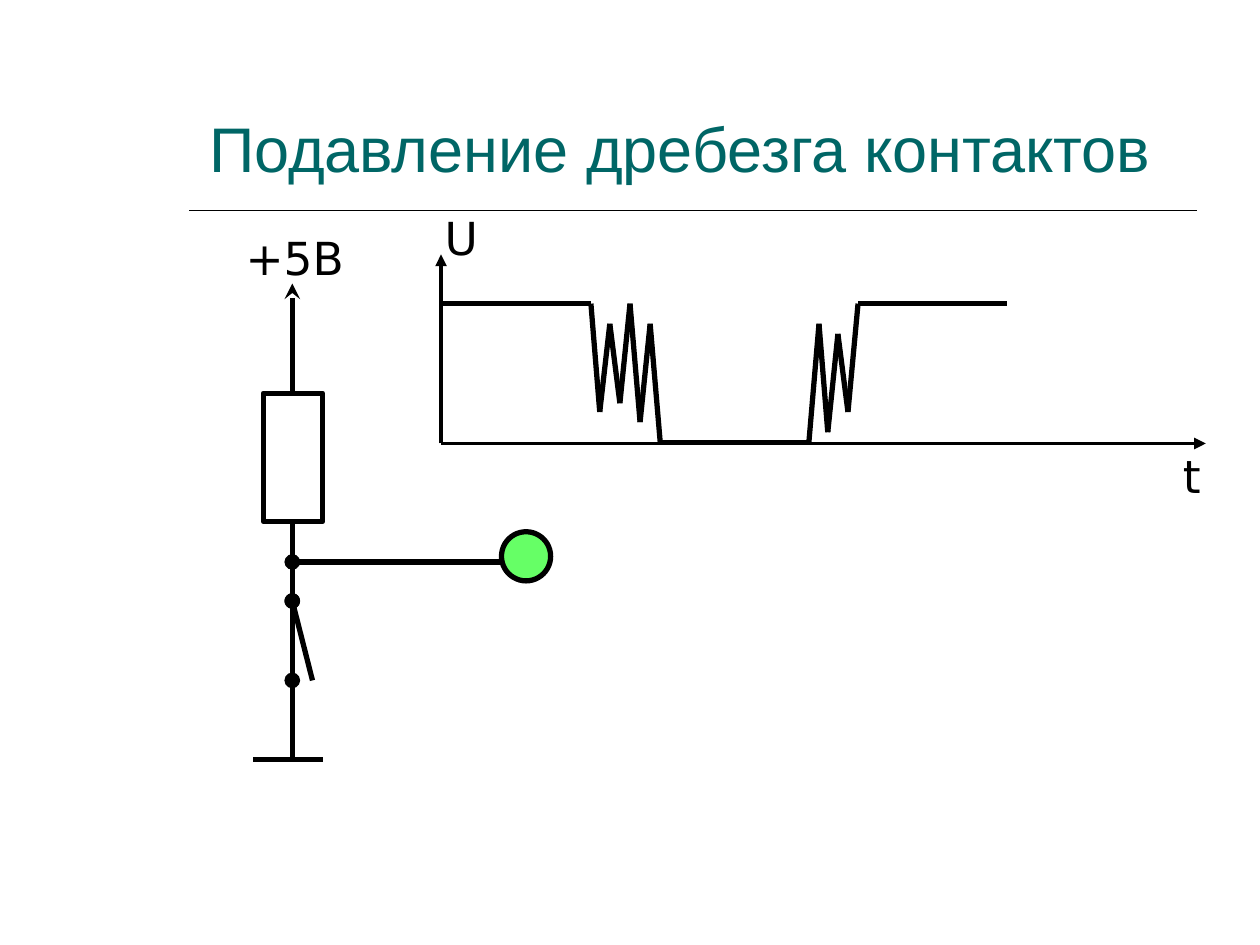
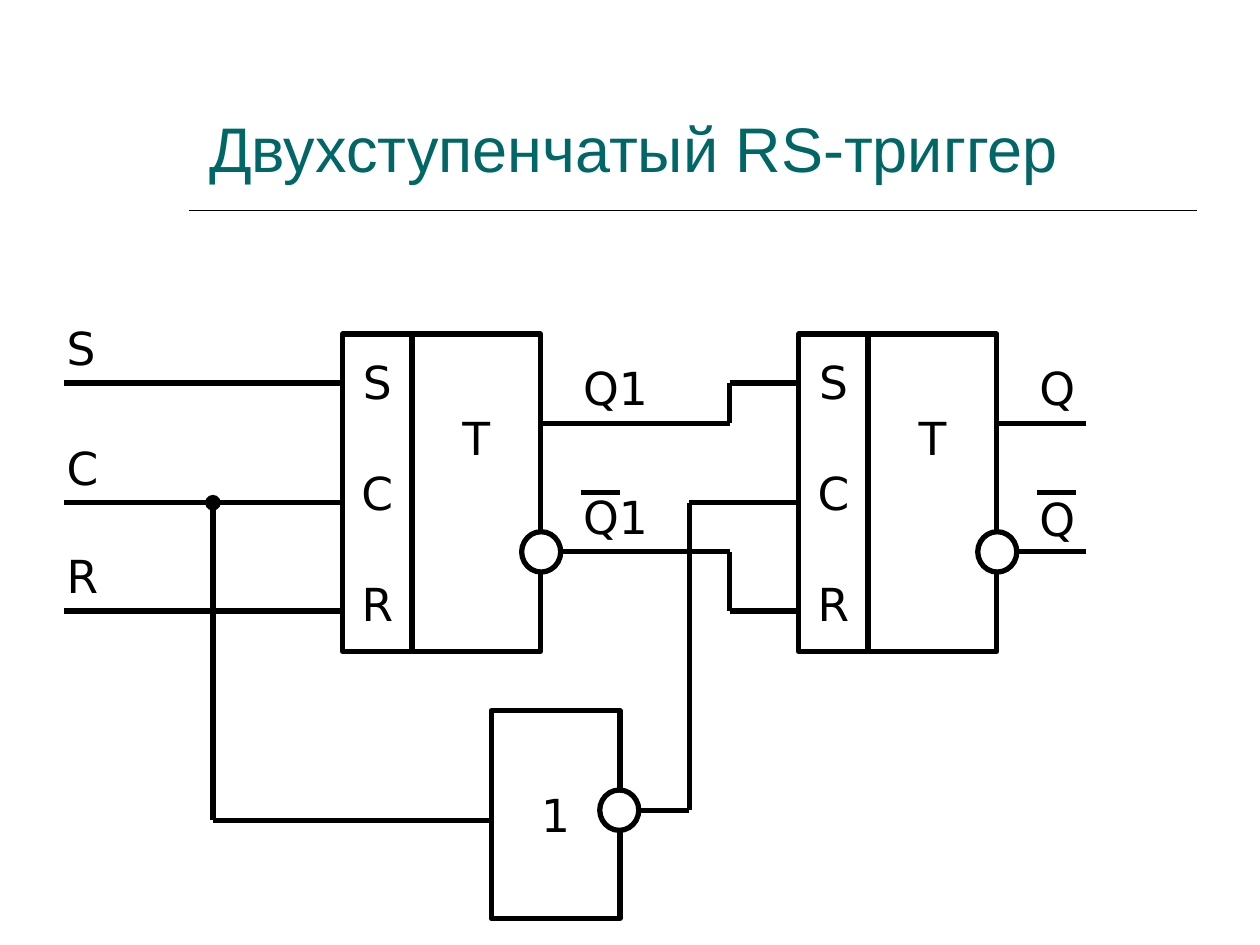
from lxml.etree import SubElement
from pptx import Presentation
from pptx.dml.color import RGBColor
from pptx.enum.shapes import MSO_CONNECTOR, MSO_SHAPE
from pptx.enum.text import MSO_ANCHOR, MSO_AUTO_SIZE, PP_ALIGN
from pptx.oxml.ns import qn
from pptx.util import Inches, Pt

# Shared look
HUES = {"title": "006666", "ink": "000000", "paper": "FFFFFF", "lamp": "66FF66"}
HEAD = {"name": "Arial", "size": Pt(36), "bold": False}
BODY = {"name": "DejaVu Sans", "size": Pt(26)}
FRAME = {"word_wrap": True, "vertical_anchor": MSO_ANCHOR.BOTTOM,
         "auto_size": MSO_AUTO_SIZE.NONE}
NOTE = {"word_wrap": True, "vertical_anchor": MSO_ANCHOR.TOP,
        "auto_size": MSO_AUTO_SIZE.SHAPE_TO_FIT_TEXT}
MID = {"word_wrap": False, "vertical_anchor": MSO_ANCHOR.MIDDLE}
TITLES = ["Подавление дребезга контактов", "Двухступенчатый RS-триггер"]


def wire(slide, points, width=3, **ends):
    """Join the points with straight lines; ends may hold headEnd or tailEnd."""
    for (x1, y1), (x2, y2) in zip(points, points[1:]):
        line = slide.shapes.add_connector(
            MSO_CONNECTOR.STRAIGHT, Inches(x1), Inches(y1), Inches(x2), Inches(y2))
        line.line.color.rgb = RGBColor.from_string(HUES["ink"])
        line.line.width = Pt(width)
        for end, style in ends.items():
            SubElement(line.line._get_or_add_ln(), qn("a:" + end), type=style)
        SubElement(line._element.spPr, qn("a:effectLst"))


def block(slide, kind, x, y, w, h, text="", fill="paper", gap=0, base=0.05):
    """Draw an outlined shape with centred lines of text."""
    shape = slide.shapes.add_shape(kind, Inches(x), Inches(y), Inches(w), Inches(h))
    shape.shadow.inherit = False
    shape.fill.solid()
    shape.fill.fore_color.rgb = RGBColor.from_string(HUES[fill])
    shape.line.color.rgb = RGBColor.from_string(HUES["ink"])
    shape.line.width = Pt(3)
    if not text:
        return
    frame = shape.text_frame
    frame.text = text
    frame.margin_bottom = Inches(base)
    for key, val in MID.items():
        setattr(frame, key, val)
    for i, para in enumerate(frame.paragraphs):
        para.alignment = PP_ALIGN.CENTER
        para.space_before = Pt(gap if i else 0)
        para.font.color.rgb = RGBColor.from_string(HUES["ink"])
        for key, val in BODY.items():
            setattr(para.font, key, val)


deck = Presentation()
deck.slide_width, deck.slide_height = Inches(10), Inches(7.5)

# Titles and rules
for text in TITLES:
    slide = deck.slides.add_slide(deck.slide_layouts[5])
    title = slide.shapes.title
    title.left, title.top = Inches(1.56), Inches(0.39)
    title.width, title.height = Inches(7.88), Inches(1.13)
    frame = title.text_frame
    frame.text = text
    for key, val in FRAME.items():
        setattr(frame, key, val)
    para = frame.paragraphs[0]
    para.alignment = PP_ALIGN.LEFT
    para.font.color.rgb = RGBColor.from_string(HUES["title"])
    for key, val in HEAD.items():
        setattr(para.font, key, val)
    wire(slide, [(1.5, 1.67), (9.5, 1.67)], 1)
bounce, latch = deck.slides

# Contact circuit: supply, resistor, switch, ground, lamp
col = 2.32
wire(bounce, [(col, 3.12), (col, 2.25)], tailEnd="stealth")
wire(bounce, [(col, 4.14), (col, 4.77)])
wire(bounce, [(2.01, 6.03), (2.56, 6.03)])
for start, end in [((col, 4.77), (2.48, 5.4)), ((col, 4.77), (col, 5.4)),
                   ((col, 5.4), (col, 6.03)), ((col, 4.46), (3.98, 4.46))]:
    wire(bounce, [start, end], headEnd="oval")
block(bounce, MSO_SHAPE.RECTANGLE, 2.09, 3.12, 0.47, 1.02)
block(bounce, MSO_SHAPE.OVAL, 3.98, 4.22, 0.39, 0.39, fill="lamp")

# Voltage over time
for tip in [(3.5, 2.02), (9.57, 3.52)]:
    wire(bounce, [(3.5, 3.52), tip], 2.25, tailEnd="triangle")
wire(bounce, [(3.5, 2.41), (4.69, 2.41), (4.76, 3.27), (4.84, 2.57), (4.92, 3.2),
              (5, 2.41), (5.08, 3.35), (5.16, 2.57), (5.24, 3.51), (6.42, 3.51),
              (6.5, 2.57), (6.57, 3.43), (6.65, 2.65), (6.73, 3.27),
              (6.81, 2.41), (7.99, 2.41)])

# Latch wiring: inputs, links between stages, clock branch, outputs
rows = [3.04, 3.99, 4.85]
for y in rows:
    wire(latch, [(0.51, y), (2.72, y)])
wire(latch, [(4.29, 3.36), (5.79, 3.36), (5.79, rows[0]), (6.34, rows[0])])
wire(latch, [(4.29, 4.38), (5.79, 4.38), (5.79, rows[2]), (6.34, rows[2])])
wire(latch, [(3.9, 6.51), (1.69, 6.51)])
wire(latch, [(1.69, 6.51), (1.69, rows[1])], tailEnd="oval")
wire(latch, [(4.92, 6.43), (5.47, 6.43), (5.47, rows[1]), (6.34, rows[1])])
for y in [3.36, 4.38]:
    wire(latch, [(7.91, y), (8.62, y)])

# Two stages and the inverter
for x in [2.72, 6.34]:
    block(latch, MSO_SHAPE.RECTANGLE, x, 2.65, 0.55, 2.52, "S\nC\nR", gap=32.3)
    block(latch, MSO_SHAPE.RECTANGLE, x + 0.55, 2.65, 1.02, 2.52, "T", base=0.93)
    block(latch, MSO_SHAPE.OVAL, x + 1.42, 4.22, 0.31, 0.32)
    wire(latch, [(x + 1.89, 3.91), (x + 2.2, 3.91)])
block(latch, MSO_SHAPE.RECTANGLE, 3.9, 5.64, 1.02, 1.65, "1")
block(latch, MSO_SHAPE.OVAL, 4.76, 6.27, 0.31, 0.32)

# Labels
for slide, text, x, y, w in [
        (bounce, "+5В", 1.85, 1.78, 1.18), (bounce, "t", 9.29, 3.51, 0.71),
        (bounce, "U", 3.43, 1.62, 0.71), (latch, "S", 0.43, 2.49, 0.71),
        (latch, "С", 0.43, 3.44, 0.71), (latch, "R", 0.43, 4.3, 0.71),
        (latch, "Q1", 4.53, 2.81, 0.86), (latch, "Q1", 4.53, 3.83, 1.1),
        (latch, "Q", 8.15, 2.81, 0.86), (latch, "Q", 8.15, 3.85, 0.86)]:
    note = slide.shapes.add_textbox(Inches(x), Inches(y), Inches(w), Inches(0.54))
    frame = note.text_frame
    frame.text = text
    for key, val in NOTE.items():
        setattr(frame, key, val)
    font = frame.paragraphs[0].font
    font.color.rgb = RGBColor.from_string(HUES["ink"])
    for key, val in BODY.items():
        setattr(font, key, val)

deck.save("out.pptx")
